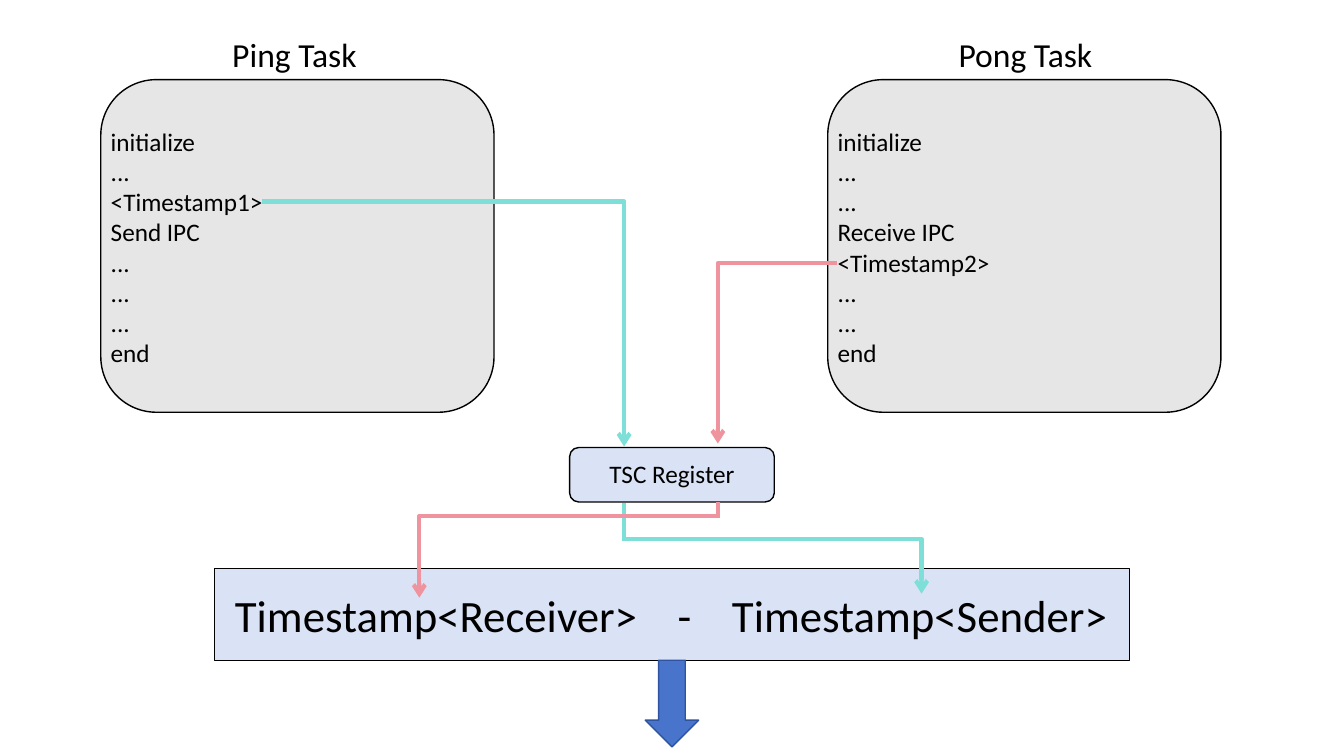
import pptx
import pptx.dml.color
import pptx.enum.shapes
import pptx.enum.text
import pptx.oxml
import pptx.oxml.ns
import pptx.util

Inches = pptx.util.Inches
RGBColor = pptx.dml.color.RGBColor
SHAPE = pptx.enum.shapes.MSO_SHAPE
LINK = pptx.enum.shapes.MSO_CONNECTOR
ALIGN = pptx.enum.text.PP_ALIGN
ANCHOR = pptx.enum.text.MSO_ANCHOR
FIT = pptx.enum.text.MSO_AUTO_SIZE
qn = pptx.oxml.ns.qn

BLACK = RGBColor(0x00, 0x00, 0x00)
GRAY = RGBColor(0xE7, 0xE6, 0xE6)
PALE = RGBColor(0xDA, 0xE3, 0xF5)
BLUE = RGBColor(0x48, 0x74, 0xCB)
NAVY = RGBColor(0x2E, 0x54, 0xA1)
TEAL = RGBColor(0x7D, 0xDF, 0xD7)
PINK = RGBColor(0xEF, 0x94, 0x9E)

TASKS = [
    (1, 1.96, "Ping Task",
     ["initialize", "...", "<Timestamp1>", "Send IPC", "...", "...", "...", "end"]),
    (8.21, 9.21, "Pong Task",
     ["initialize", "...", "...", "Receive IPC", "<Timestamp2>", "...", "...", "end"]),
]
BAR = (2.13, 5.64, 9.07, 0.91)
SEND_X, RECV_X = 6.19, 7.12  # where each timestamp passes the register

# colour, start, end, bent with an arrowhead
FLOWS = [
    (TEAL, (2.6, 2), (SEND_X, 4.43), True),
    (TEAL, (SEND_X, 5.35), (9.14, 5.89), True),
    (TEAL, (SEND_X, 4.99), (SEND_X, 5.37), False),
    (PINK, (8.3, 2.61), (RECV_X, 4.4), True),
    (PINK, (RECV_X, 4.98), (RECV_X, 5.14), False),
    (PINK, (RECV_X, 5.12), (4.16, 5.93), True),
]


def apply(item, values):
    for name, value in values.items():
        setattr(item, name, value)


def add_sub(parent, tag, **values):
    child = pptx.oxml.parse_xml(f"<{tag} {pptx.oxml.ns.nsdecls('a')}/>")
    for name, value in values.items():
        child.set(name, str(value))
    parent.append(child)
    return child


def add_box(slide, kind, place, fill, edge=BLACK):
    box = slide.shapes.add_shape(kind, *map(Inches, place))
    box.shadow.inherit = False
    box.fill.solid()
    box.fill.fore_color.rgb = fill
    box.line.color.rgb = edge
    box.line.width = pptx.util.Pt(1)


def add_text(slide, place, lines, size, align=ALIGN.CENTER, **frame_style):
    frame = slide.shapes.add_textbox(*map(Inches, place)).text_frame
    apply(frame, {"word_wrap": True, **frame_style})
    frame.text = "\n".join(lines)
    for para in frame.paragraphs:
        para.alignment = align
        for run in para.runs:
            apply(run.font, {"name": "Calibri", "size": pptx.util.Pt(size)})
            run.font.color.rgb = BLACK
    return frame


def set_tabs(para, stops):
    tabs = add_sub(para._p.get_or_add_pPr(), "a:tabLst")
    for stop in stops:
        add_sub(tabs, "a:tab", pos=Inches(stop), algn="l")


def add_flow(slide, color, start, end, bent):
    """Draw a plain line, or an arrow that runs across and then down."""
    kind = LINK.ELBOW if bent else LINK.STRAIGHT
    flow = slide.shapes.add_connector(kind, *map(Inches, start + end))
    flow.line.color.rgb = color
    flow.line.width = pptx.util.Pt(3)
    props = flow._element.spPr
    add_sub(props, "a:effectLst")
    if bent:
        guides = props.find(qn("a:prstGeom")).find(qn("a:avLst"))
        add_sub(guides, "a:gd", name="adj1", fmla="val 100000")
        add_sub(flow.line._get_or_add_ln(), "a:tailEnd", type="arrow")


def main():
    deck = pptx.Presentation()
    apply(deck, {"slide_width": Inches(13.33), "slide_height": Inches(7.5)})
    slide = deck.slides.add_slide(deck.slide_layouts[6])

    for left, *_ in TASKS:
        add_box(slide, SHAPE.FLOWCHART_ALTERNATE_PROCESS, (left, 0.79, 3.9, 3.3), GRAY)
    add_box(slide, SHAPE.FLOWCHART_PROCESS, BAR, PALE)
    add_box(slide, SHAPE.FLOWCHART_ALTERNATE_PROCESS, (5.65, 4.44, 2.03, 0.54), PALE)

    grow = FIT.SHAPE_TO_FIT_TEXT
    add_text(slide, (5.65, 4.5, 2.03, 0.4), ["TSC Register"], 18, auto_size=grow)
    for left, title_left, title, steps in TASKS:
        add_text(slide, (title_left, 0.29, 1.92, 0.5), [title], 24, auto_size=grow)
        add_text(slide, (left, 1.2, 3.9, 2.45), steps, 18, ALIGN.LEFT)
    result = add_text(slide, BAR, ["Timestamp<Receiver>\t-\tTimestamp<Sender>"], 32,
                      ALIGN.LEFT, vertical_anchor=ANCHOR.MIDDLE,
                      margin_left=Inches(0.2))
    set_tabs(result.paragraphs[0], [4.39, 4.93])

    add_box(slide, SHAPE.DOWN_ARROW, (6.4, 6.55, 0.53, 0.86), BLUE, NAVY)
    for flow in FLOWS:
        add_flow(slide, *flow)
    deck.save("out.pptx")


if __name__ == "__main__":
    main()
